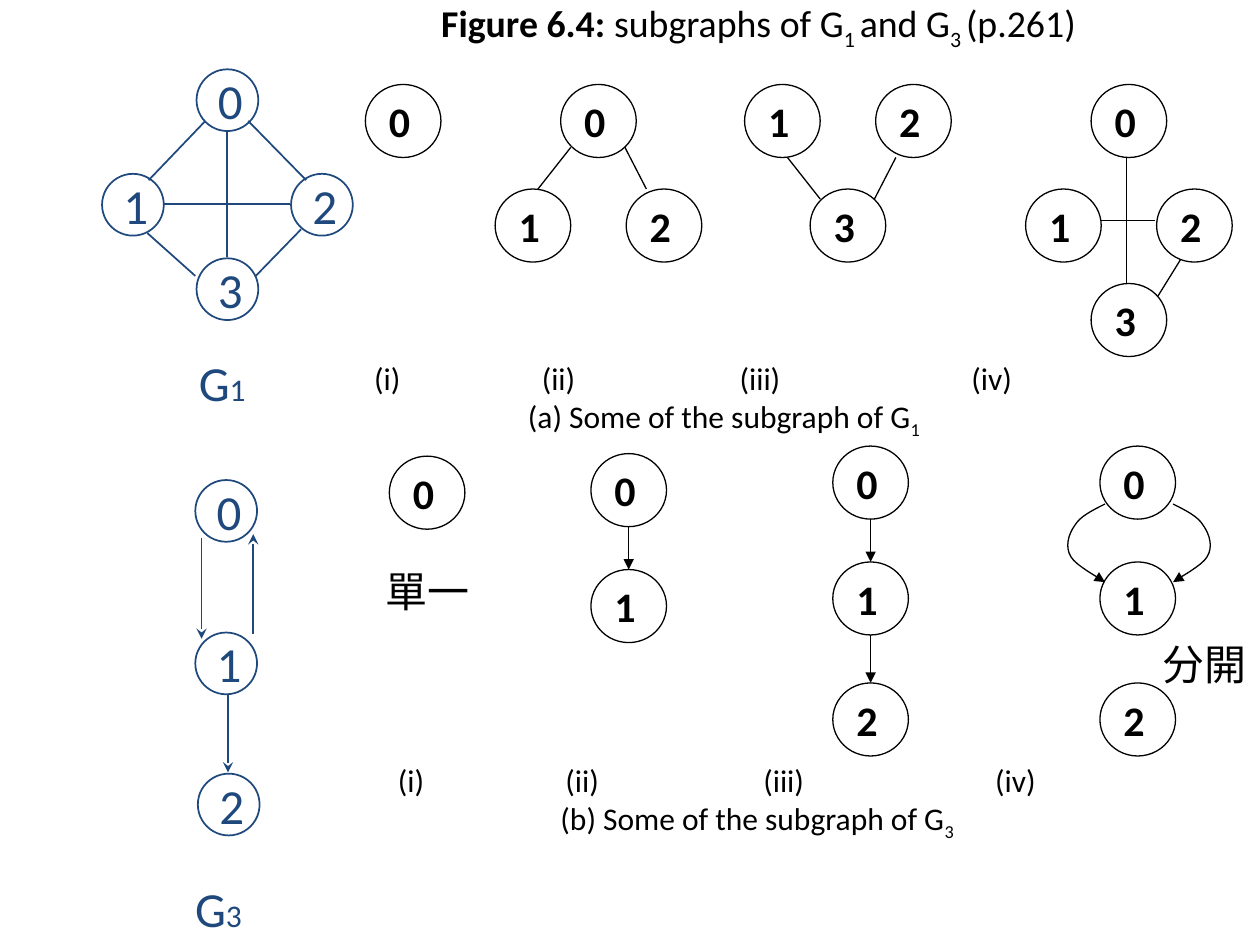
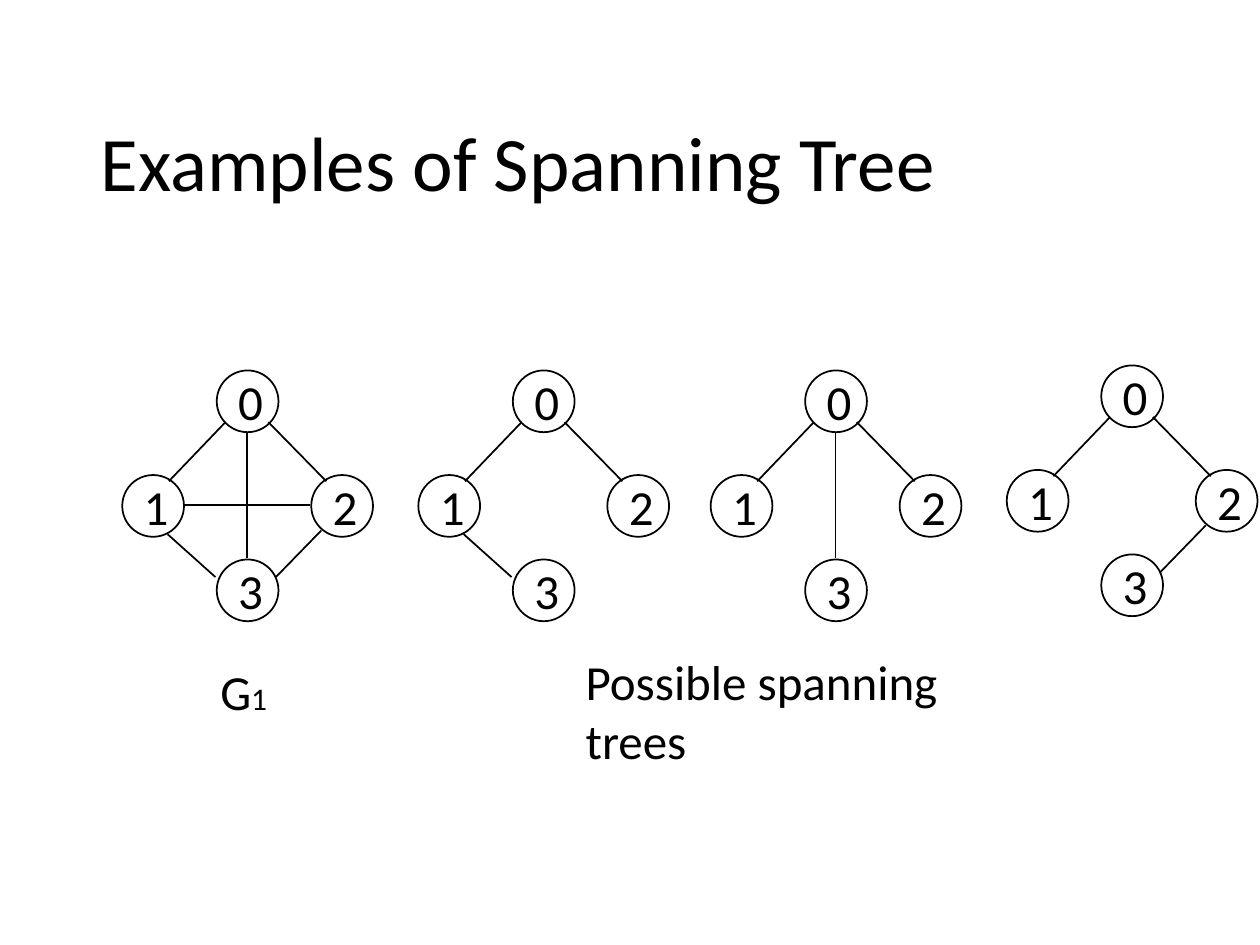
from dataclasses import dataclass

from lxml.etree import SubElement
from pptx import Presentation
from pptx.dml.color import RGBColor
from pptx.enum.shapes import MSO_CONNECTOR, MSO_SHAPE
from pptx.enum.text import MSO_ANCHOR, MSO_AUTO_SIZE, PP_ALIGN
from pptx.oxml.ns import qn
from pptx.util import Inches, Pt


@dataclass(frozen=True)
class Style:
    """Look of the vertices and edges of one kind of graph."""
    wide: float
    high: float
    line: float
    color: RGBColor
    size: int
    bold: bool = False
    fill: bool = True
    head: str = "triangle"


class Theme:
    font = "Calibri"
    black = RGBColor(0, 0, 0)
    blue = RGBColor(0x1F, 0x49, 0x7D)
    white = RGBColor(255, 255, 255)
    figure, title, name, word, label = 21.6, 44, 28, 24, 18
    sub = Style(0.6, 0.58, 0.75, black, 24, bold=True, fill=False)
    full = Style(0.49, 0.49, 1, blue, 28, head="stealth")
    tree = Style(0.49, 0.49, 1, black, 28)


# The complete graph on four vertices: offsets from its left top corner
K4_NODES = [("0", 0.75, 0), ("1", 0, 0.83), ("2", 1.5, 0.83), ("3", 0.75, 1.5)]
K4_EDGES = {
    "03": (0.99, 0.49, 0.99, 1.49),
    "12": (0.49, 1.07, 1.49, 1.07),
    "01": (0.82, 0.41, 0.37, 0.88),
    "02": (1.16, 0.41, 1.62, 0.88),
    "13": (0.36, 1.3, 0.74, 1.64),
    "23": (1.58, 1.27, 1.22, 1.64),
}

# Subgraphs of G1: corner, vertices as (name, column, row), edges
COL, ROWS, TOP = 0.52, (0, 0.83, 1.58), 0.67
G1_SUBS = [
    (2.9, [("0", 0, 0)], []),
    (3.93, [("0", 1, 0), ("1", 0, 1), ("2", 2, 1)],
     [(0.6, 0.5, 0.34, 0.83), (1.03, 0.5, 1.2, 0.83)]),
    (5.91, [("3", 1, 1), ("1", 0, 0), ("2", 2, 0)],
     [(0.6, 0.91, 0.34, 0.58), (1.03, 0.91, 1.2, 0.58)]),
    (8.14, [("0", 1, 0), ("1", 0, 1), ("2", 2, 1), ("3", 1, 2)],
     [(0.6, 1.08, 1.03, 1.08), (0.8, 0.58, 0.8, 1.58),
      (1.23, 1.39, 1.05, 1.68)]),
]

# Subgraphs of G3: corner, vertex count, count of straight arrows
DROPS = (0, 0.92, 1.88)
G3_SUBS = [((3.09, 3.62), 1, 0), ((4.69, 3.6), 2, 1),
           ((6.61, 3.54), 3, 2), ((8.73, 3.54), 3, 0)]
BOW = [(8.77, 4), (8.67, 4.05), (8.57, 4.1), (8.53, 4.17),
       (8.48, 4.24), (8.45, 4.34), (8.5, 4.42),
       (8.54, 4.49), (8.73, 4.59), (8.77, 4.62)]
AXIS = 9.04

G3_NODES = [("0", 0, 0), ("1", 0, 1.21), ("2", 0.02, 2.33)]
G3_EDGES = [(0.26, 1.71, 0.26, 2.32), (0.46, 1.22, 0.46, 0.43),
            (0.05, 0.46, 0.05, 1.26)]

LABELS = "(i)\t(ii)\t(iii)\t(iv)"
TABS = (1.33, 2.9, 4.74)
CAPTIONS = [  # box, left inset, indent, text, subscript
    ((2.79, 2.71, 6.56, 0.83), 0.18, 1.22, "(a) Some of the subgraph of G", "1"),
    ((3.06, 5.96, 6.47, 0.77), 0.1, 1.29, "(b) Some of the subgraph of G", "3"),
]
WORDS = [("分開", (9.13, 5.02, 0.87, 0.5)), ("單一", (2.96, 4.44, 0.87, 0.5))]
FIGURE = [("Figure 6.4:", "bold"), (" subgraphs of G", ""), ("1 ", "sub"),
          ("and G", ""), ("3 ", "sub"), ("(p.261)", "")]

TREES = [((0.97, 2.94), list(K4_EDGES)), ((3.32, 2.94), ["01", "02", "13"]),
         ((5.64, 2.94), ["03", "01", "02"]), ((7.99, 2.9), ["01", "02", "23"])]


def inch(*nums):
    return [Inches(n) for n in nums]


def dress(para, size, color=Theme.black, bold=None):
    font = para.font
    font.name, font.size, font.bold = Theme.font, Pt(size), bold
    font.color.rgb = color


def lower(run):
    run._r.get_or_add_rPr().set("baseline", "-25000")


def tip(shape, head):
    SubElement(shape.line._get_or_add_ln(), qn("a:tailEnd"), type=head)


def add_node(shapes, text, x, y, style):
    oval = shapes.add_shape(MSO_SHAPE.OVAL, *inch(x, y, style.wide, style.high))
    oval.shadow.inherit = False
    if style.fill:
        oval.fill.solid()
        oval.fill.fore_color.rgb = Theme.white
    else:
        oval.fill.background()
    oval.line.color.rgb, oval.line.width = style.color, Pt(style.line)
    frame = oval.text_frame
    frame.word_wrap = False
    frame.vertical_anchor = MSO_ANCHOR.MIDDLE
    frame.text = text
    para = frame.paragraphs[0]
    para.alignment = PP_ALIGN.LEFT
    dress(para, style.size, style.color, style.bold)


def add_edge(shapes, ends, style, arrow):
    edge = shapes.add_connector(MSO_CONNECTOR.STRAIGHT, *inch(*ends))
    edge.line.color.rgb, edge.line.width = style.color, Pt(style.line)
    if arrow:
        tip(edge, style.head)
    SubElement(edge._element.spPr, qn("a:effectLst"))


def add_graph(shapes, spot, nodes, edges, style, arrow=False):
    """Draw vertices and edges given as offsets from spot."""
    left, top = spot
    for text, x, y in nodes:
        add_node(shapes, text, left + x, top + y, style)
    for x1, y1, x2, y2 in edges:
        ends = left + x1, top + y1, left + x2, top + y2
        add_edge(shapes, ends, style, arrow)


def trace(knots, steps=8):
    """Points along a chain of cubic Bezier curves."""
    points = [knots[0]]
    for i in range(0, len(knots) - 1, 3):
        part = knots[i:i + 4]
        for n in range(1, steps + 1):
            t = n / steps
            mix = (1 - t) ** 3, 3 * t * (1 - t) ** 2, 3 * t * t * (1 - t), t ** 3
            points.append(tuple(sum(m * p[axis] for m, p in zip(mix, part))
                                for axis in (0, 1)))
    return points


def add_bow(shapes, knots, style):
    points = [inch(*point) for point in trace(knots)]
    build = shapes.build_freeform(*points[0])
    build.add_line_segments(points[1:], close=False)
    bow = build.convert_to_shape()
    bow.shadow.inherit = False
    bow.fill.background()
    bow.line.color.rgb, bow.line.width = style.color, Pt(style.line)
    tip(bow, style.head)


def add_text(slide, box, text, size, color=Theme.black, wrap=False):
    frame = slide.shapes.add_textbox(*inch(*box)).text_frame
    frame.word_wrap = wrap
    frame.text = text
    dress(frame.paragraphs[0], size, color)
    return frame


def add_name(slide, spot, digit, color):
    frame = add_text(slide, (*spot, 0.61, 0.57), "G", Theme.name, color)
    run = frame.paragraphs[0].add_run()
    run.text, run.font.size = digit, Pt(Theme.label)


def add_caption(slide, box, inset, indent, text, digit):
    frame = add_text(slide, box, LABELS, Theme.label, wrap=True)
    frame.margin_left = Inches(inset)
    frame.vertical_anchor = MSO_ANCHOR.BOTTOM
    props = frame.paragraphs[0]._p.get_or_add_pPr()
    tabs = props.makeelement(qn("a:tabLst"), {})
    props.insert(0, tabs)
    for stop in TABS:
        SubElement(tabs, qn("a:tab"), pos=str(Inches(stop)), algn="l")
    para = frame.add_paragraph()
    para._p.get_or_add_pPr().set("marL", str(Inches(indent)))
    dress(para, Theme.label)
    para.add_run().text = text
    run = para.add_run()
    run.text = digit
    lower(run)


def set_title(slide, box, parts, size, align, anchor):
    title = slide.shapes.title
    title.left, title.top, title.width, title.height = inch(*box)
    frame = title.text_frame
    frame.auto_size = MSO_AUTO_SIZE.NONE
    frame.word_wrap = True
    frame.vertical_anchor = anchor
    para = frame.paragraphs[0]
    para.alignment = align
    dress(para, size)
    for text, kind in parts:
        run = para.add_run()
        run.text = text
        if kind == "bold":
            run.font.bold = True
        elif kind == "sub":
            lower(run)
    return frame


def draw_subs(slide):
    frame = set_title(slide, (1.77, 0, 8.5, 0.75), FIGURE, Theme.figure,
                      PP_ALIGN.CENTER, MSO_ANCHOR.TOP)
    frame.margin_top = 0
    style = Theme.sub

    group = slide.shapes.add_group_shape().shapes
    for left, cells, edges in G1_SUBS:
        nodes = [(text, col * COL, ROWS[row]) for text, col, row in cells]
        add_graph(group, (left, TOP), nodes, edges, style)

    group = slide.shapes.add_group_shape().shapes
    mid = style.wide / 2
    for spot, count, links in G3_SUBS:
        nodes = [(str(i), 0, DROPS[i]) for i in range(count)]
        edges = [(mid, DROPS[i] + style.high, mid, DROPS[i + 1])
                 for i in range(links)]
        add_graph(group, spot, nodes, edges, style, arrow=True)
    add_bow(group, BOW, style)
    add_bow(group, [(2 * AXIS - x, y) for x, y in BOW], style)

    for caption in CAPTIONS:
        add_caption(slide, *caption)
    for text, box in WORDS:
        add_text(slide, box, text, Theme.word)

    add_graph(slide.shapes, (0.81, 0.55), K4_NODES, K4_EDGES.values(), Theme.full)
    add_name(slide, (1.48, 2.75), "1", Theme.blue)
    add_graph(slide.shapes, (1.55, 3.81), G3_NODES, G3_EDGES, Theme.full, arrow=True)
    add_name(slide, (1.45, 6.92), "3", Theme.blue)


def draw_trees(slide):
    set_title(slide, (0.7, 0.65, 9.3, 1.25), [("Examples of Spanning Tree", "")],
              Theme.title, PP_ALIGN.LEFT, MSO_ANCHOR.MIDDLE)
    for spot, pairs in TREES:
        edges = [K4_EDGES[pair] for pair in pairs]
        add_graph(slide.shapes, spot, K4_NODES, edges, Theme.tree)
    add_name(slide, (1.65, 5.2), "1", Theme.black)
    add_text(slide, (4.55, 5.12, 3.7, 0.57), "Possible spanning trees",
             Theme.name, wrap=True)


def main():
    deck = Presentation()
    deck.slide_width, deck.slide_height = inch(10, 7.5)
    for draw in (draw_subs, draw_trees):
        draw(deck.slides.add_slide(deck.slide_layouts[5]))
    deck.save("out.pptx")


if __name__ == "__main__":
    main()
